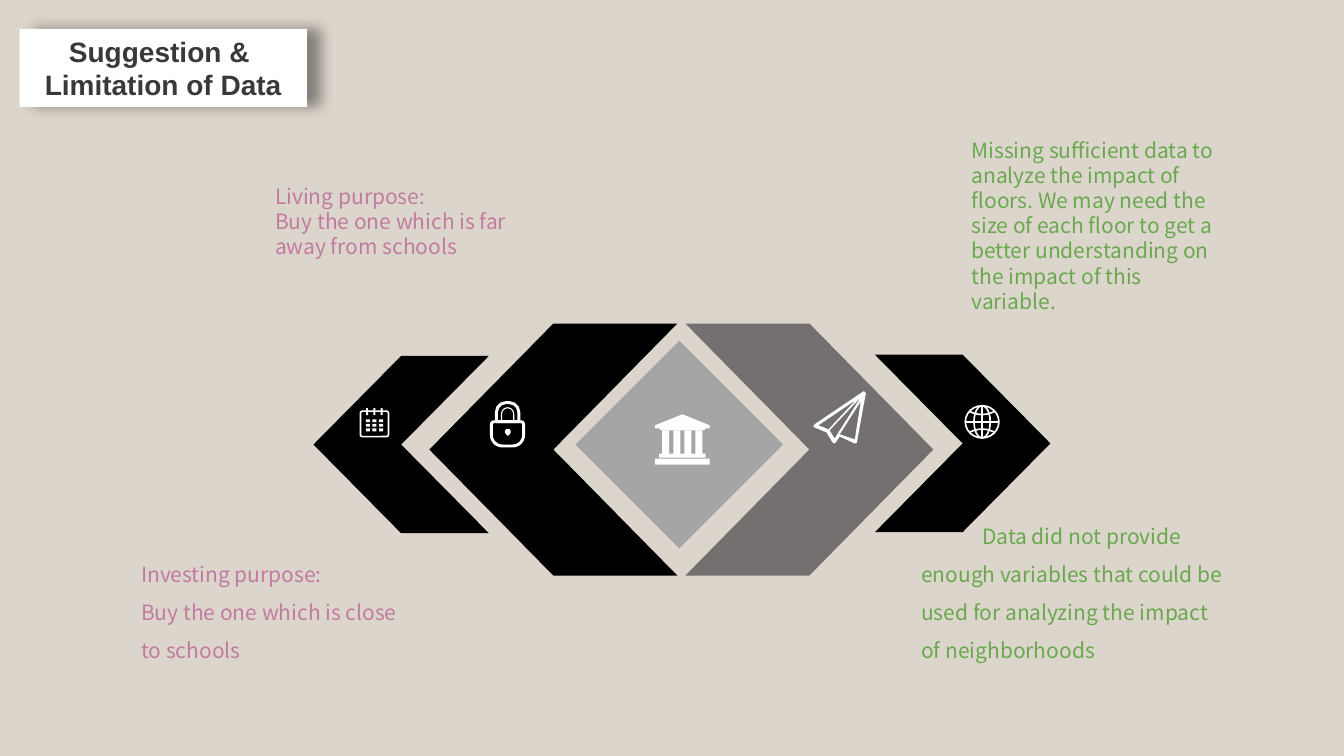
from dataclasses import dataclass

from lxml.etree import SubElement
from pptx import Presentation
from pptx.dml.color import RGBColor
from pptx.enum.shapes import MSO_CONNECTOR, MSO_SHAPE
from pptx.enum.text import MSO_ANCHOR, MSO_AUTO_SIZE, PP_ALIGN
from pptx.oxml.ns import qn
from pptx.util import Pt


@dataclass(frozen=True)
class Theme:
    background = RGBColor.from_string("DCD5CB")
    white = RGBColor.from_string("FFFFFF")
    black = RGBColor.from_string("000000")
    dark_gray = RGBColor.from_string("757070")
    light_gray = RGBColor.from_string("A5A5A5")
    title = RGBColor.from_string("3B3838")
    pink = RGBColor.from_string("C27BA0")
    green = RGBColor.from_string("6AA84F")
    title_font = "Arial"
    body_font = "Noto Sans CJK SC"
    title_size = Pt(20)
    body_size = Pt(15)


theme = Theme()
presentation = Presentation()
presentation.slide_width = Pt(960)
presentation.slide_height = Pt(540)
slide = presentation.slides.add_slide(presentation.slide_layouts[5])
slide.background.fill.solid()
slide.background.fill.fore_color.rgb = theme.background


def add_preset(kind, box, fill=None, outline=0):
    """Add a preset shape, filled or drawn as a white outline."""
    shape = slide.shapes.add_shape(kind, *(Pt(length) for length in box))
    shape.shadow.inherit = False
    if fill is None:
        shape.fill.background()
        shape.line.color.rgb = theme.white
        shape.line.width = Pt(outline)
    else:
        shape.fill.solid()
        shape.fill.fore_color.rgb = fill
        shape.line.fill.background()
    return shape


def add_outline(contours, closed=True):
    """Add a white freeform: filled when closed, a thin line when open."""
    first, *others = [[(Pt(x), Pt(y)) for x, y in contour] for contour in contours]
    builder = slide.shapes.build_freeform(*first[0], scale=1.0)
    builder.add_line_segments(first[1:], close=closed)
    for contour in others:
        builder.move_to(*contour[0])
        builder.add_line_segments(contour[1:], close=closed)
    shape = builder.convert_to_shape()
    shape.shadow.inherit = False
    if closed:
        shape.fill.solid()
        shape.fill.fore_color.rgb = theme.white
        shape.line.fill.background()
    else:
        shape.fill.background()
        shape.line.color.rgb = theme.white
        shape.line.width = Pt(1.2)


# Title card with a soft shadow to the right
title = slide.shapes.title
title.left, title.top, title.width, title.height = Pt(14), Pt(20.7), Pt(205.2), Pt(55.6)
title.fill.solid()
title.fill.fore_color.rgb = theme.white
title.line.fill.background()
effects = SubElement(title.element.spPr, qn("a:effectLst"))
shadow = SubElement(effects, qn("a:outerShdw"), blurRad=str(Pt(10)), dist=str(Pt(10)), dir="0",
                    algn="l", rotWithShape="0")
shadow_color = SubElement(shadow, qn("a:srgbClr"), val=str(theme.black))
SubElement(shadow_color, qn("a:alpha"), val="40000")
title_frame = title.text_frame
title_frame.text = "Suggestion & \nLimitation of Data"
title_frame.word_wrap = True
title_frame.auto_size = MSO_AUTO_SIZE.NONE
title_frame.vertical_anchor = MSO_ANCHOR.MIDDLE
for paragraph in title_frame.paragraphs:
    paragraph.alignment = PP_ALIGN.CENTER
    paragraph.font.name = theme.title_font
    paragraph.font.size = theme.title_size
    paragraph.font.bold = True
    paragraph.font.color.rgb = theme.title

# Chevrons pointing outwards from the diamond
chevrons = [
    ((489.6, 231.1, 177.1, 180), theme.dark_gray, 0),
    ((625, 253.4, 125.3, 126.7), theme.black, 0),
    ((306.7, 231.1, 177.1, 180), theme.black, 180),
    ((223.9, 254.2, 125.3, 126.7), theme.black, 180),
]
for box, color, rotation in chevrons:
    add_preset(MSO_SHAPE.CHEVRON, box, color).rotation = rotation
add_preset(MSO_SHAPE.DIAMOND, (411.1, 243.4, 148.3, 148.3), theme.light_gray)

# Bank icon: roof, columns, plinth and base
add_outline([[(487.4, 295.9), (506.9, 303.8), (506.9, 306), (504, 306), (503, 307.4),
              (472, 307.4), (471, 306), (468, 306), (468, 303.8)]])
for column in range(4):
    add_preset(MSO_SHAPE.RECTANGLE, (473 + 7.92 * column, 307.4, 5.04, 17), theme.white)
add_preset(MSO_SHAPE.RECTANGLE, (470.9, 324, 33.1, 2.9), theme.white)
add_preset(MSO_SHAPE.RECTANGLE, (468, 327.6, 38.9, 4.3), theme.white)

# Padlock icon: double shackle, body and keyhole
for box, width in [((354.6, 287.6, 16, 13.6), 2.1), ((358.2, 291.2, 8.8, 10), 0.8)]:
    shackle = add_preset(MSO_SHAPE.ROUND_2_SAME_RECTANGLE, box, outline=width)
    shackle.adjustments[0] = 0.5
body = add_preset(MSO_SHAPE.ROUND_2_SAME_RECTANGLE, (351, 301.3, 23, 17.3), outline=2.1)
body.adjustments[0] = 0.1
body.adjustments[1] = 0.45
add_preset(MSO_SHAPE.TEAR, (360.6, 306.2, 4.3, 4.3), theme.white).rotation = 135

# Paper plane icon: silhouette with three folds cut out
add_outline([
    [(617, 279.4), (618.5, 280.8), (612, 316.4), (610.6, 316.8), (599.8, 311.8), (596.9, 316.1),
     (596.2, 316.8), (594.7, 316.1), (590.4, 308.9), (581.8, 305.3), (581, 304.6), (581.8, 303.1)],
    [(584.6, 303.8), (611.3, 285.8), (591.8, 306.7)],
    [(592.6, 307.4), (614.9, 283.7), (596.2, 313.2)],
    [(610.6, 313.9), (599.8, 310.3), (614.9, 286.6)],
])

# Calendar icon: frame, rings and day grid
frame = add_preset(MSO_SHAPE.ROUNDED_RECTANGLE, (257.5, 293.7, 20, 18.2), outline=1.2)
frame.adjustments[0] = 0.08
for column in range(3):
    add_preset(MSO_SHAPE.ROUNDED_RECTANGLE, (261.5 + 5.2 * column, 291.6, 1.4, 5), theme.white)
    for row in range(3):
        add_preset(MSO_SHAPE.RECTANGLE,
                   (261.4 + 4.7 * column, 299.5 + 3.25 * row, 2.9, 2.1), theme.white)

# Globe icon: circle, meridians, equator and latitudes
center_x, center_y = 701.5, 301.3
for radius_x in (12, 5.8):
    add_preset(MSO_SHAPE.OVAL, (center_x - radius_x, center_y - 11.5, 2 * radius_x, 23),
               outline=1.2)
for reach_x, reach_y in [(12, 0), (0, 11.5)]:
    line = slide.shapes.add_connector(
        MSO_CONNECTOR.STRAIGHT, Pt(center_x - reach_x), Pt(center_y - reach_y),
        Pt(center_x + reach_x), Pt(center_y + reach_y))
    line.line.color.rgb = theme.white
    line.line.width = Pt(1.2)
    SubElement(line.element.spPr, qn("a:effectLst"))
for side in (-1, 1):
    latitude = [(center_x + x, center_y + side * (5.2 + 2 * (x / 8.5) ** 2))
                for x in (-8.5, -6, -3, 0, 3, 6, 8.5)]
    add_outline([latitude], closed=False)

# Notes: box, colour, line spacing, first-line indent, paragraphs
notes = [
    ((191.5, 128.2, 205.2, 74.2), theme.pink, None, 0,
     "Living purpose:\nBuy the one which is far away from schools"),
    ((95.8, 389.5, 193, 77.8), theme.pink, 1.5, 0,
     "Investing purpose:\nBuy the one which is close to schools"),
    ((689, 95, 193, 114.5), theme.green, None, 0,
     "Missing sufficient data to analyze the impact of floors. We may need the size of each "
     "floor to get a better understanding on the impact of this variable."),
    ((653, 362.2, 226.8, 105.1), theme.green, 1.5, 43.5,
     "Data did not provide enough variables that could be used for analyzing the impact of "
     "neighborhoods"),
]
for box, color, spacing, indent, text in notes:
    note = slide.shapes.add_textbox(*(Pt(length) for length in box))
    text_frame = note.text_frame
    text_frame.word_wrap = True
    text_frame.margin_left = text_frame.margin_right = Pt(5)
    text_frame.margin_top = text_frame.margin_bottom = Pt(2.9)
    text_frame.text = text
    for paragraph in text_frame.paragraphs:
        paragraph.font.name = theme.body_font
        paragraph.font.size = theme.body_size
        paragraph.font.color.rgb = color
        if spacing:
            paragraph.line_spacing = spacing
        if indent:
            paragraph._p.get_or_add_pPr().set("indent", str(Pt(indent)))

presentation.save("out.pptx")
